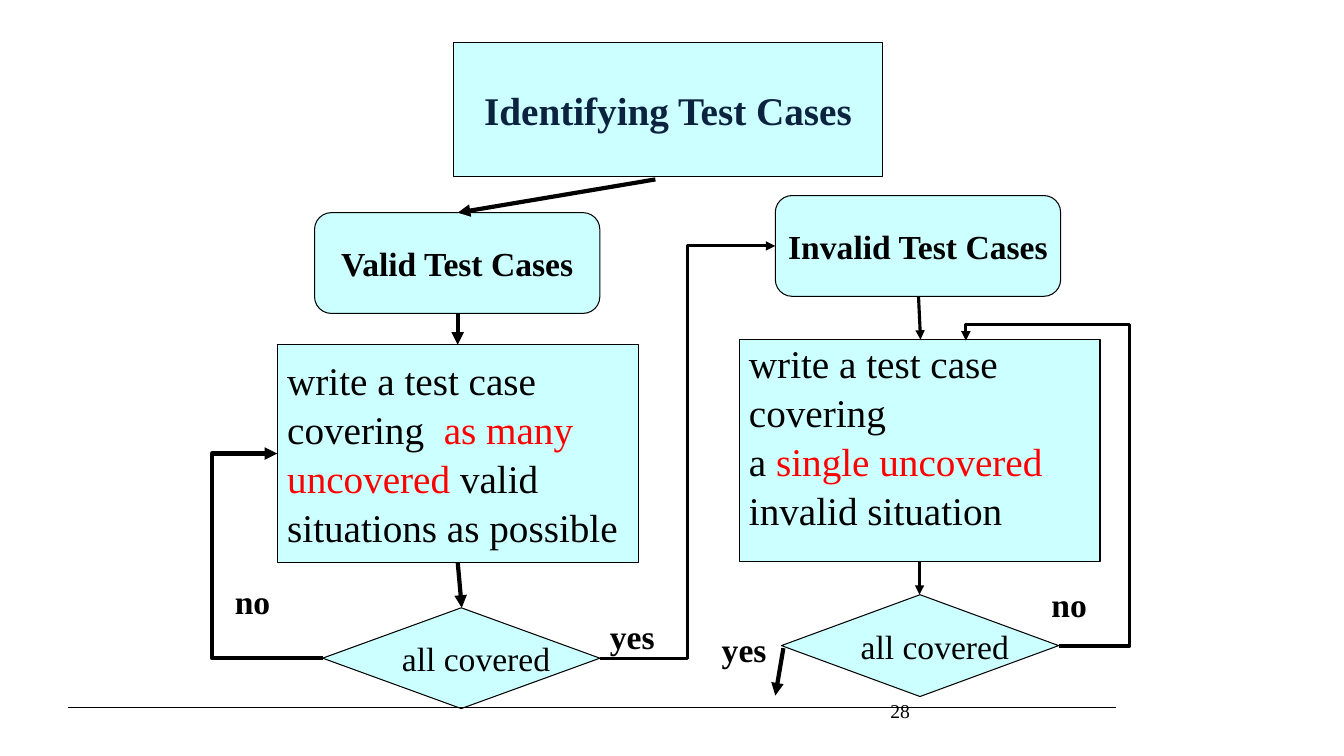
"""Build the flowchart slide on identifying valid and invalid test cases."""
import pptx
import pptx.dml.color
import pptx.enum.shapes
import pptx.enum.text
import pptx.oxml
import pptx.oxml.ns
import pptx.util

PX = 9144
FONT = "Times New Roman"
COLORS = {"fill": "CCFFFF", "ink": "000000", "title": "0C2340", "red": "FF0000"}
MSO = pptx.enum.shapes.MSO_SHAPE
LINK = pptx.enum.shapes.MSO_CONNECTOR
ALIGN = pptx.enum.text.PP_ALIGN
ANCHOR = pptx.enum.text.MSO_ANCHOR
qn = pptx.oxml.ns.qn


def rgb(name):
    return pptx.dml.color.RGBColor.from_string(COLORS[name])


def write(sp, paras, size, bold=False, align=ALIGN.LEFT, anchor=ANCHOR.MIDDLE):
    tf = sp.text_frame
    tf.word_wrap = False
    tf.vertical_anchor = anchor
    for i, runs in enumerate(paras):
        p = tf.paragraphs[0] if i == 0 else tf.add_paragraph()
        p.alignment = align
        if i:
            p.space_before = pptx.util.Pt(1.3)
        for text, color in runs:
            r = p.add_run()
            r.text = text
            r.font.name = FONT
            r.font.size = pptx.util.Pt(size)
            r.font.bold = bold
            r.font.color.rgb = rgb(color)


prs = pptx.Presentation()
prs.slide_width, prs.slide_height = 1333 * PX, 750 * PX
s = prs.slides.add_slide(prs.slide_layouts[5])

title = s.shapes.title
title.left, title.top, title.width, title.height = [v * PX for v in (450, 42, 425, 133)]
title.text_frame.auto_size = pptx.enum.text.MSO_AUTO_SIZE.NONE
write(title, [[("Identifying Test Cases", "title")]], 28, True, ALIGN.CENTER)

valid_steps = [
    [("write a test case", "ink")],
    [("covering  ", "ink"), ("as many", "red")],
    [("uncovered", "red"), (" valid", "ink")],
    [("situations as possible", "ink")],
]
invalid_steps = [
    [("write a test case", "ink")],
    [("covering", "ink")],
    [("a ", "ink"), ("single uncovered", "red")],
    [("invalid situation", "ink")],
]
valid_head = [[("Valid Test Cases", "ink")]]
invalid_head = [[("Invalid Test Cases", "ink")]]
check = [[("all covered", "ink")]]

boxes = [
    (MSO.FLOWCHART_ALTERNATE_PROCESS, 312, 211, 283, 100, valid_head, 24, True, ALIGN.CENTER, ANCHOR.MIDDLE),
    (MSO.FLOWCHART_ALTERNATE_PROCESS, 769, 194, 283, 100, invalid_head, 24, True, ALIGN.CENTER, ANCHOR.MIDDLE),
    (MSO.FLOWCHART_PROCESS, 275, 342, 358, 216, valid_steps, 28, False, ALIGN.LEFT, ANCHOR.MIDDLE),
    (MSO.FLOWCHART_PROCESS, 733, 337, 358, 220, invalid_steps, 28, False, ALIGN.LEFT, ANCHOR.TOP),
    (MSO.FLOWCHART_DECISION, 320, 603, 275, 100, check, 24, False, ALIGN.LEFT, ANCHOR.MIDDLE),
    (MSO.FLOWCHART_DECISION, 775, 590, 275, 101, check, 24, False, ALIGN.LEFT, ANCHOR.MIDDLE),
]
outlined = [title]
for kind, x, y, w, h, paras, size, bold, align, anchor in boxes:
    sp = s.shapes.add_shape(kind, x * PX, y * PX, w * PX, h * PX)
    sp.shadow.inherit = False
    write(sp, paras, size, bold, align, anchor)
    if anchor == ANCHOR.TOP:
        sp.text_frame.margin_top = 0
    outlined.append(sp)

for sp in outlined:
    sp.fill.solid()
    sp.fill.fore_color.rgb = rgb("fill")
    sp.line.color.rgb = rgb("ink")
    sp.line.width = pptx.util.Pt(0.75)

links = [
    ("line", 67, 702, 1107, 702, 0.75, []),
    ("line", 650, 178, 454, 211, 3, []),
    ("line", 454, 311, 454, 342, 3, []),
    ("line", 454, 558, 458, 603, 3, []),
    ("line", 911, 294, 913, 337, 2.25, []),
    ("line", 912, 557, 912, 590, 2.25, []),
    ("line", 777, 643, 769, 690, 3, []),
    ("bentConnector3", 320, 653, 275, 450, 3, [243800]),
    ("bentConnector3", 595, 653, 769, 244, 2.25, [50000]),
    ("bentConnector4", 1050, 641, 958, 338, 2.25, [-76500, 105400]),
]
for preset, x1, y1, x2, y2, width, adjusts in links:
    kind = LINK.ELBOW if adjusts else LINK.STRAIGHT
    link = s.shapes.add_connector(kind, x1 * PX, y1 * PX, x2 * PX, y2 * PX)
    link.line.color.rgb = rgb("ink")
    link.line.width = pptx.util.Pt(width)
    props = link._element.spPr
    geom = props.find(qn("a:prstGeom"))
    geom.set("prst", preset)
    guides = geom.get_or_add_avLst()
    for i, value in enumerate(adjusts, 1):
        guide = pptx.oxml.parse_xml(f'<a:gd {pptx.oxml.ns.nsdecls("a")} name="adj{i}" fmla="val {value}"/>')
        guides.append(guide)
    if width > 1:
        head = pptx.oxml.parse_xml(f'<a:tailEnd {pptx.oxml.ns.nsdecls("a")} type="triangle"/>')
        props.find(qn("a:ln")).append(head)
    props.append(pptx.oxml.parse_xml(f'<a:effectLst {pptx.oxml.ns.nsdecls("a")}/>'))

for text, x, y, w in [("no", 223, 571, 55), ("yes", 595, 606, 65),
                      ("yes", 706, 619, 65), ("no", 1033, 574, 55)]:
    label = s.shapes.add_textbox(x * PX, y * PX, w * PX, 50 * PX)
    write(label, [[(text, "ink")]], 24, True, anchor=ANCHOR.TOP)

number = s.shapes.add_textbox(883 * PX, 683 * PX, 208 * PX, 50 * PX)
write(number, [[("28", "ink")]], 14)
tf = number.text_frame
tf.word_wrap = True
tf.margin_left = tf.margin_top = 0
tf.margin_right, tf.margin_bottom = 10 * PX, 5 * PX

prs.save("out.pptx")
